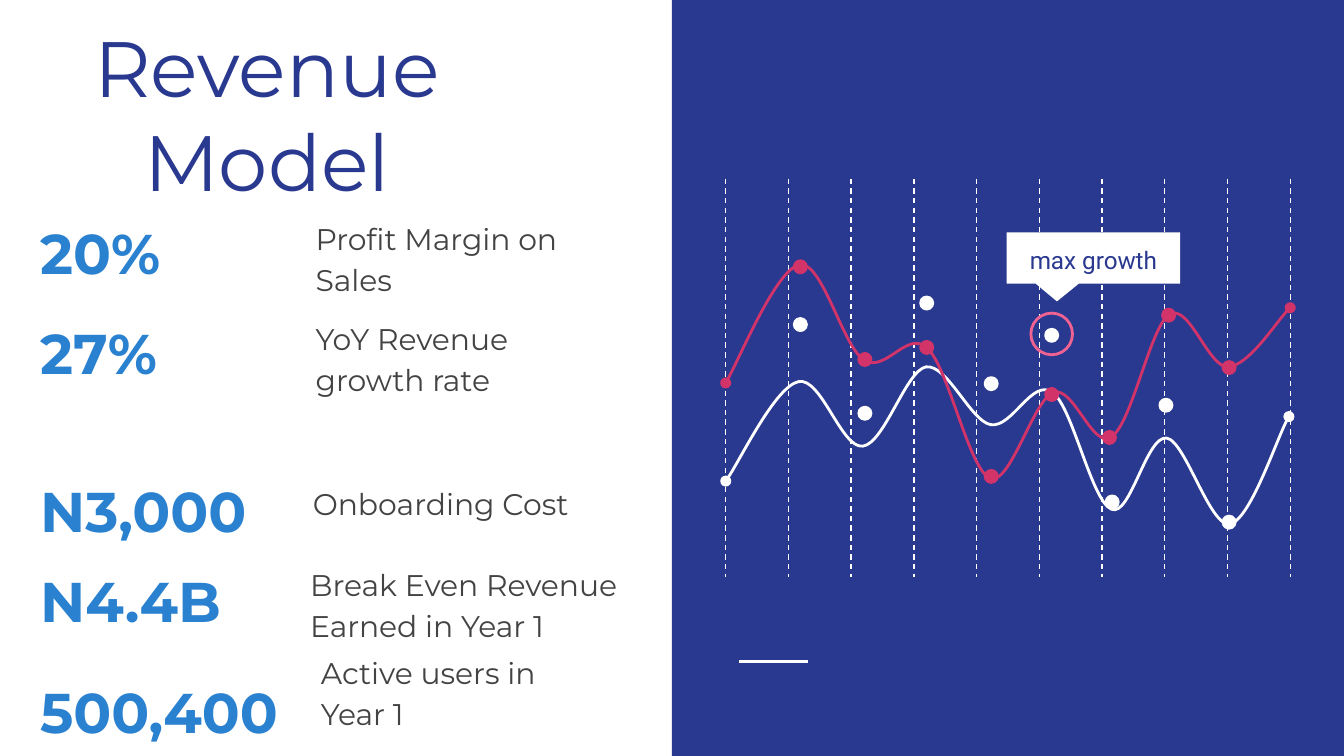
from lxml.etree import SubElement
from pptx import Presentation
from pptx.dml.color import RGBColor
from pptx.enum.dml import MSO_LINE
from pptx.enum.shapes import MSO_CONNECTOR, MSO_SHAPE
from pptx.enum.text import MSO_ANCHOR, PP_ALIGN
from pptx.oxml.ns import qn
from pptx.util import Inches, Pt

COLORS = {"navy": "2A3990", "white": "FFFFFF", "crimson": "D23369",
          "pink": "F06292", "blue": "2A81D0", "grey": "434343"}

# Figures: text, top, width; then label: text, left, top, width, height
METRICS = [
    (("20%", 1.49, 1.13), ("Profit Margin on Sales", 2.25, 1.62, 2.02, 0.57)),
    (("27%", 2.24, 1.13), ("YoY Revenue growth rate", 2.25, 2.37, 2.18, 0.57)),
    (("N3,000", 3.41, 1.87), ("Onboarding Cost", 2.23, 3.54, 2.64, 0.38)),
    (("N4.4B", 4.08, 1.66), ("Break Even Revenue Earned in Year 1", 2.21, 4.2, 2.96, 0.57)),
    (("500,400", 4.91, 2.02), ("Active users in Year 1", 2.29, 4.85, 2, 0.57)),
]

# Curves: a start, then (control, control, end) for each segment
WHITE_CURVE = [
    (5.4, 3.58),
    (5.49, 3.46), (5.77, 2.88), (5.94, 2.84),
    (6.11, 2.8), (6.26, 3.34), (6.42, 3.32),
    (6.58, 3.3), (6.74, 2.76), (6.89, 2.73),
    (7.05, 2.71), (7.22, 3.13), (7.37, 3.16),
    (7.53, 3.19), (7.68, 2.81), (7.83, 2.92),
    (7.98, 3.02), (8.12, 3.73), (8.27, 3.79),
    (8.41, 3.85), (8.53, 3.24), (8.68, 3.26),
    (8.82, 3.28), (9, 3.92), (9.15, 3.9),
    (9.3, 3.87), (9.51, 3.23), (9.59, 3.1),
]
RED_CURVE = [
    (5.4, 2.85),
    (5.49, 2.7), (5.78, 2), (5.95, 1.97),
    (6.12, 1.94), (6.27, 2.58), (6.43, 2.68),
    (6.59, 2.78), (6.75, 2.45), (6.9, 2.59),
    (7.06, 2.74), (7.21, 3.5), (7.37, 3.56),
    (7.52, 3.61), (7.69, 2.97), (7.84, 2.92),
    (7.99, 2.87), (8.13, 3.35), (8.27, 3.25),
    (8.42, 3.16), (8.56, 2.43), (8.7, 2.34),
    (8.85, 2.25), (8.99, 2.74), (9.14, 2.73),
    (9.29, 2.72), (9.52, 2.36), (9.6, 2.29),
]
# Left and top of each marker
WHITE_DOTS = [(9.1, 3.84), (8.63, 2.97), (8.23, 3.69), (7.78, 2.45),
              (7.33, 2.81), (6.85, 2.21), (6.39, 3.03), (5.91, 2.37)]
RED_DOTS = [(5.91, 1.94), (6.39, 2.63), (6.85, 2.54), (7.33, 3.5),
            (7.78, 2.89), (8.21, 3.21), (8.65, 2.3), (9.1, 2.69)]
DOT_SIZE = 0.09
GRID_COUNT, GRID_LEFT, GRID_RIGHT = 10, 5.4, 9.6
GRID_TOP, GRID_BOTTOM = 1.33, 4.29
PAGE_WIDTH = 10
PAGE_HEIGHT = PAGE_WIDTH * 9 / 16

deck = Presentation()
deck.slide_width, deck.slide_height = Inches(PAGE_WIDTH), Inches(PAGE_HEIGHT)
page = deck.slides.add_slide(deck.slide_layouts[6])


def color(name):
    return RGBColor.from_string(COLORS[name])


def paint(shape, fill=None, line=None):
    shape.shadow.inherit = False
    if fill:
        shape.fill.solid()
        shape.fill.fore_color.rgb = color(fill)
    else:
        shape.fill.background()
    if line:
        shape.line.color.rgb = color(line)
        shape.line.width = Pt(1.5)
    else:
        shape.line.fill.background()


def add_shape(kind, left, top, width, height, fill=None, line=None):
    shape = page.shapes.add_shape(
        kind, Inches(left), Inches(top), Inches(width), Inches(height))
    paint(shape, fill, line)
    return shape


def add_line(start, end, width, dash=None):
    line = page.shapes.add_connector(
        MSO_CONNECTOR.STRAIGHT, *(Inches(value) for value in start + end))
    line.line.color.rgb = color("white")
    line.line.width = Pt(width)
    if dash:
        line.line.dash_style = dash
    SubElement(line._element.spPr, qn("a:effectLst"))


def add_curve(points, name):
    start, *rest = [(Inches(x), Inches(y)) for x, y in points]
    builder = page.shapes.build_freeform(*start)
    builder.add_line_segments(rest, close=False)
    curve = builder.convert_to_shape()
    paint(curve, line=name)
    # Turn each three straight steps into one Bezier segment
    outline = curve._element.spPr.find(".//" + qn("a:path"))
    steps = outline.findall(qn("a:lnTo"))
    for first in range(0, len(steps), 3):
        segment = SubElement(outline, qn("a:cubicBezTo"))
        for step in steps[first:first + 3]:
            segment.append(step[0])
            outline.remove(step)
    # Round ends
    for end in ("a:headEnd", "a:tailEnd"):
        SubElement(curve.line._get_or_add_ln(), qn(end), type="oval")


def add_dots(places, name):
    for left, top in places:
        add_shape(MSO_SHAPE.OVAL, left, top, DOT_SIZE, DOT_SIZE, name, name)


def add_text(text, left, top, width, height, size, name, font="Montserrat", bold=False,
             align=PP_ALIGN.LEFT, anchor=MSO_ANCHOR.MIDDLE, spacing=1.15, after=0):
    box = page.shapes.add_textbox(
        Inches(left), Inches(top), Inches(width), Inches(height))
    frame = box.text_frame
    frame.word_wrap = True
    frame.vertical_anchor = anchor
    frame.margin_left = frame.margin_right = Inches(0.1)
    frame.margin_top = frame.margin_bottom = Inches(0.1)
    para = frame.paragraphs[0]
    para.alignment = align
    para.line_spacing = spacing
    para.space_after = Pt(after)
    span = para.add_run()
    span.text = text
    span.font.name = font
    span.font.size = Pt(size)
    span.font.bold = bold
    span.font.color.rgb = color(name)


# Right panel and its short rule
add_shape(MSO_SHAPE.RECTANGLE, PAGE_WIDTH / 2, 0, PAGE_WIDTH / 2, PAGE_HEIGHT, "navy")
add_line((5.5, 4.92), (6.01, 4.92), 1.5)

# Dashed grid
for index in range(GRID_COUNT):
    x = GRID_LEFT + index * (GRID_RIGHT - GRID_LEFT) / (GRID_COUNT - 1)
    add_line((x, GRID_TOP), (x, GRID_BOTTOM), 0.75, MSO_LINE.DASH)

# Curves, markers and callout
add_shape(MSO_SHAPE.OVAL, 7.67, 2.33, 0.31, 0.31, line="pink")
add_curve(WHITE_CURVE, "white")
add_dots(WHITE_DOTS, "white")
callout = add_shape(MSO_SHAPE.ROUNDED_RECTANGULAR_CALLOUT, 7.49, 1.73, 1.29, 0.38, "white")
for position, value in enumerate((-0.21, 0.85, 0)):
    callout.adjustments[position] = value
add_curve(RED_CURVE, "crimson")
add_dots(RED_DOTS, "crimson")
add_text("max growth", 7.49, 1.76, 1.29, 0.31, 13, "navy", font="Roboto",
         align=PP_ALIGN.CENTER)

# Title
add_text("Revenue Model", 0.09, 0.08, 3.79, 1.56, 42, "navy",
         align=PP_ALIGN.CENTER, anchor=MSO_ANCHOR.BOTTOM, spacing=1.0)

# Figures and their labels
for (figure, top, width), (label, *place) in METRICS:
    add_text(label, *place, 16, "grey", after=8)
    add_text(figure, 0.2, top, width, 0.69, 30, "blue", bold=True, after=8)

deck.save("out.pptx")
